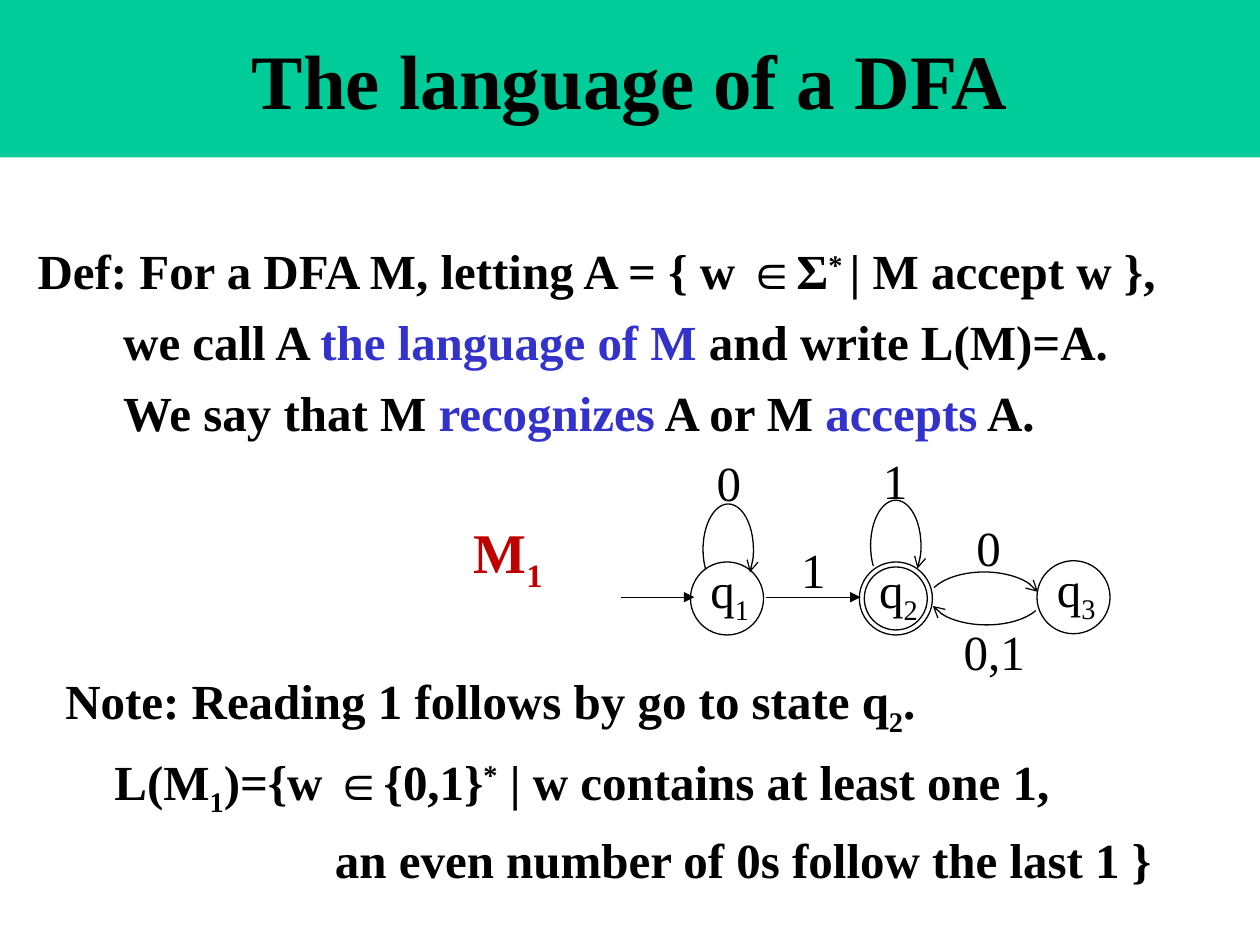
from dataclasses import dataclass
from math import atan2, degrees
from typing import NamedTuple

from lxml.etree import SubElement
from pptx import Presentation
from pptx.dml.color import RGBColor
from pptx.enum.shapes import MSO_CONNECTOR as Connector, MSO_SHAPE as Preset
from pptx.enum.text import MSO_ANCHOR as Anchor, PP_ALIGN as Align
from pptx.oxml.ns import qn
from pptx.util import Inches, Pt

BLACK, BLUE, RED, GREEN = "000000", "3333CC", "C00000", "00CC99"
SUPER, SUB = 30, -25
STATE_SIZE = 0.58
BODY = {"name": "Times New Roman", "size": Pt(28), "bold": True}
LABEL = BODY | {"bold": False}
TITLE = BODY | {"size": Pt(44)}
MACHINE = BODY | {"size": Pt(32)}


class Phrase(NamedTuple):
    text: str
    color: str = BLACK
    baseline: int = 0


@dataclass
class Line:
    phrases: list[Phrase]
    indent: float = 0


@dataclass
class State:
    left: float
    top: float
    number: str
    accepting: bool = False


@dataclass
class Arc:
    """Clockwise stretch of an ellipse, from start to end."""
    center: tuple[float, float]
    radii: tuple[float, float]
    start: tuple[float, float]
    end: tuple[float, float]


@dataclass
class Label:
    text: str
    left: float
    top: float
    width: float = 0.4


def rgb(color: str) -> RGBColor:
    return RGBColor.from_string(color)


def write_line(paragraph, line: Line, style: dict) -> None:
    if line.indent:
        properties = paragraph._p.get_or_add_pPr()
        properties.set("marL", str(Inches(line.indent)))
        properties.set("indent", "0")
    for phrase in line.phrases:
        run = paragraph.add_run()
        run.text = phrase.text
        for attribute, value in style.items():
            setattr(run.font, attribute, value)
        run.font.color.rgb = rgb(phrase.color)
        if phrase.baseline:
            run._r.get_or_add_rPr().set("baseline", str(phrase.baseline * 1000))


def add_text(shapes, box: tuple, lines: list[Line], style: dict,
             spacing: float = 1, wrap: bool = False) -> None:
    frame = shapes.add_textbox(*map(Inches, box)).text_frame
    frame.word_wrap = wrap
    for index, line in enumerate(lines):
        paragraph = frame.add_paragraph() if index else frame.paragraphs[0]
        paragraph.line_spacing = spacing
        write_line(paragraph, line, style)


def add_title(shapes, text: str) -> None:
    banner = shapes.add_shape(Preset.RECTANGLE, 0, 0, Inches(10), Inches(1.25))
    banner.shadow.inherit = False
    banner.fill.solid()
    banner.fill.fore_color.rgb = rgb(GREEN)
    banner.line.fill.background()
    banner.text_frame.vertical_anchor = Anchor.MIDDLE
    heading = banner.text_frame.paragraphs[0]
    heading.alignment = Align.CENTER
    write_line(heading, Line([Phrase(text)]), TITLE)


def set_stroke(shape, head: str = "") -> None:
    """Thin black line, with an optional arrowhead at its end."""
    shape.line.color.rgb = rgb(BLACK)
    shape.line.width = Pt(0.75)
    if head:
        SubElement(shape.line._get_or_add_ln(), qn("a:tailEnd"), type=head)


def add_outline(shapes, preset, left: float, top: float, width: float,
                height: float, head: str = ""):
    outline = shapes.add_shape(preset, *map(Inches, (left, top, width, height)))
    outline.shadow.inherit = False
    outline.fill.background()
    set_stroke(outline, head)
    return outline


def add_state(shapes, state: State) -> None:
    rings = [0, 0.04] if state.accepting else [0]
    for inset in rings:
        size = STATE_SIZE - 2 * inset
        add_outline(shapes, Preset.OVAL, state.left + inset, state.top + inset,
                    size, size)
    name = Line([Phrase("q"), Phrase(state.number, baseline=SUB)])
    add_text(shapes, (state.left + 0.06, state.top - 0.07, 0.53, 0.57),
             [name], LABEL)


def add_arc(shapes, arc: Arc) -> None:
    (x, y), (rx, ry) = arc.center, arc.radii
    curve = add_outline(shapes, Preset.ARC, x - rx, y - ry, 2 * rx, 2 * ry, "arrow")
    for index, (px, py) in enumerate((arc.start, arc.end)):
        angle = degrees(atan2(py - y, px - x)) % 360
        curve.adjustments[index] = angle * 0.6


def add_arrow(shapes, start: float, end: float, y: float) -> None:
    arrow = shapes.add_connector(Connector.STRAIGHT, *map(Inches, (start, y, end, y)))
    set_stroke(arrow, "triangle")
    SubElement(arrow._element.spPr, qn("a:effectLst"))


DEFINITION = [
    Line([Phrase("Def: For a DFA M, letting A = { w ∈Σ"), Phrase("* ", baseline=SUPER),
          Phrase("| M accept w },")]),
    Line([Phrase("we call A "), Phrase("the language of M", BLUE),
          Phrase(" and write L(M)=A.")], 0.68),
    Line([Phrase("We say that M "), Phrase("recognizes", BLUE), Phrase(" A or M "),
          Phrase("accepts", BLUE), Phrase(" A.")], 0.68),
]
NOTE = [
    Line([Phrase("Note: Reading 1 follows by go to state q"),
          Phrase("2", baseline=SUB), Phrase(".")]),
    Line([Phrase("L(M"), Phrase("1", baseline=SUB), Phrase(")={w ∈{0,1}"),
          Phrase("*", baseline=SUPER), Phrase(" | w contains at least one 1,")], 0.39),
    Line([Phrase("an even number of 0s follow the last 1 }")], 2.14),
]
STATES = [State(5.48, 4.46, "1"), State(6.82, 4.46, "2", True), State(8.23, 4.45, "3")]
TRANSITIONS = [
    Arc((5.78, 4.36), (0.2, 0.36), (5.59, 4.53), (5.95, 4.54)),
    Arc((7.11, 4.33), (0.2, 0.36), (6.92, 4.5), (7.28, 4.51)),
    Arc((7.81, 4.79), (0.46, 0.25), (7.4, 4.66), (8.23, 4.7)),
    Arc((7.83, 4.72), (0.46, 0.24), (8.23, 4.85), (7.4, 4.81)),
]
SYMBOLS = [
    Label("0", 5.59, 3.54), Label("1", 6.91, 3.53), Label("1", 6.26, 4.23),
    Label("0", 7.65, 4.06), Label("0,1", 7.55, 4.88, 0.69),
]


def main() -> None:
    deck = Presentation()
    deck.slide_width, deck.slide_height = Inches(10), Inches(7.5)
    shapes = deck.slides.add_slide(deck.slide_layouts[6]).shapes

    add_title(shapes, "The language of a DFA")
    add_text(shapes, (0.2, 1.77, 9.16, 1.75), DEFINITION, BODY, 1.2, True)
    for state in STATES:
        add_state(shapes, state)
    for transition in TRANSITIONS:
        add_arc(shapes, transition)
    for start, end in ((4.93, 5.51), (6.08, 6.83)):
        add_arrow(shapes, start, end, 4.74)
    for symbol in SYMBOLS:
        add_text(shapes, (symbol.left, symbol.top, symbol.width, 0.57),
                 [Line([Phrase(symbol.text)])], LABEL)
    machine = Line([Phrase("M", RED), Phrase("1", RED, SUB)])
    add_text(shapes, (3.66, 4.06, 0.78, 0.64), [machine], MACHINE)
    add_text(shapes, (0.42, 5.17, 8.91, 1.8), NOTE, BODY, 1.2, True)

    deck.save("out.pptx")


if __name__ == "__main__":
    main()
